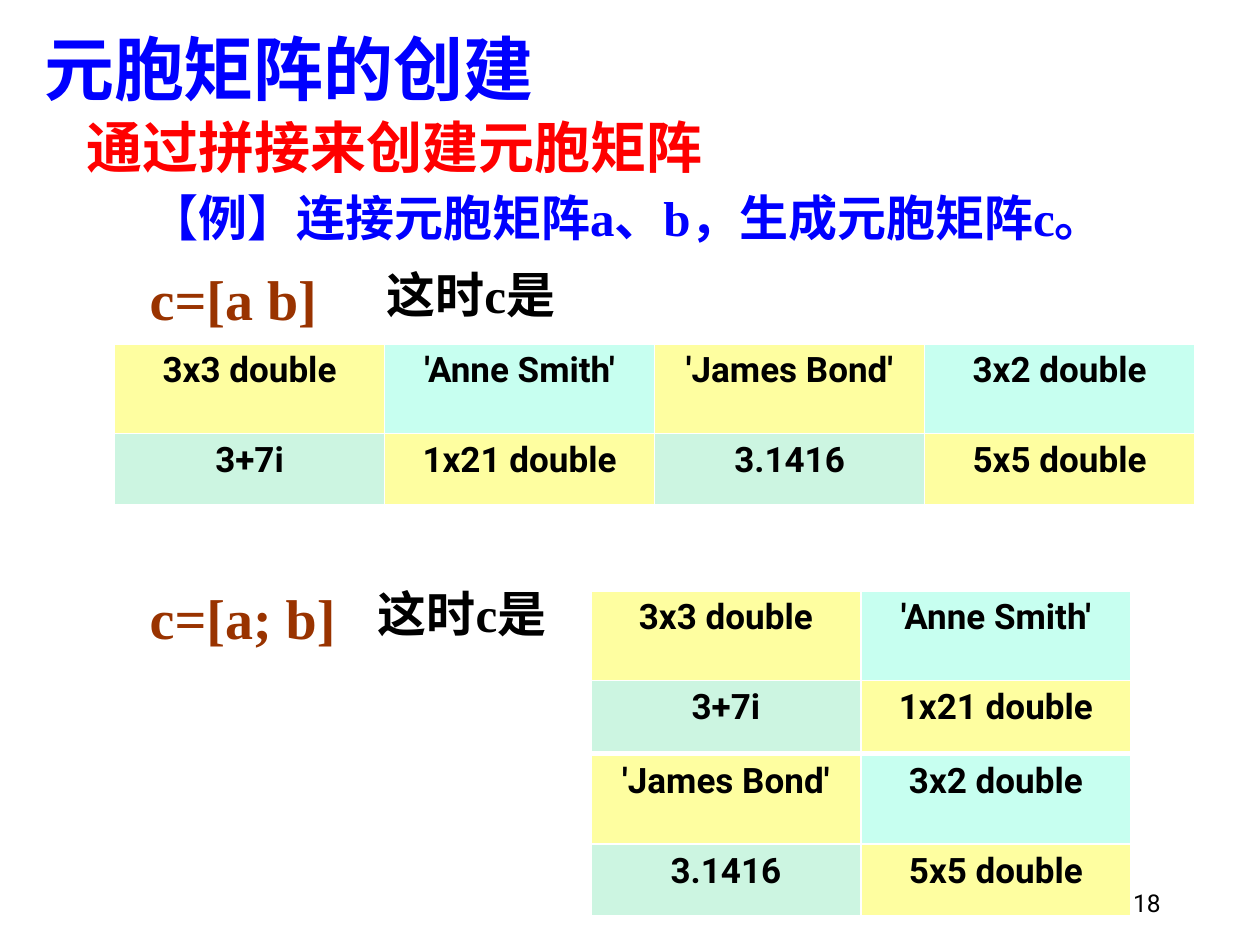
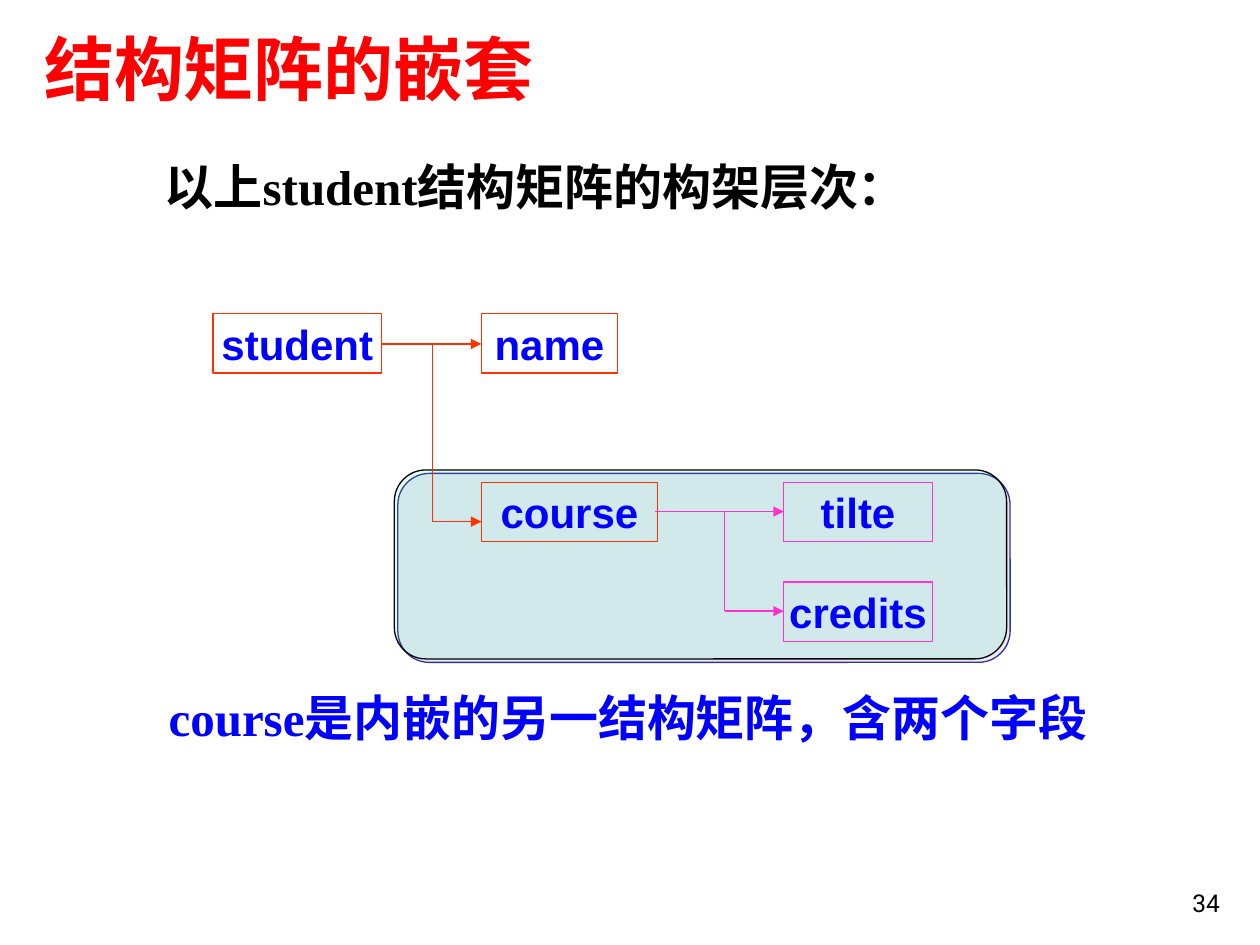
from lxml import etree
from pptx import Presentation
from pptx.dml.color import RGBColor
from pptx.enum.shapes import MSO_CONNECTOR, MSO_SHAPE
from pptx.enum.text import MSO_ANCHOR, MSO_AUTO_SIZE, PP_ALIGN
from pptx.oxml.ns import qn
from pptx.util import Inches, Pt

LEFT, CENTER, RIGHT = PP_ALIGN.LEFT, PP_ALIGN.CENTER, PP_ALIGN.RIGHT
TOP, MIDDLE, BOTTOM = MSO_ANCHOR.TOP, MSO_ANCHOR.MIDDLE, MSO_ANCHOR.BOTTOM
NO_FIT = MSO_AUTO_SIZE.NONE
RECTANGLE, ROUNDED = MSO_SHAPE.RECTANGLE, MSO_SHAPE.ROUNDED_RECTANGLE
STRAIGHT = MSO_CONNECTOR.STRAIGHT

# Shared colours and fonts
BLUE, RED, BROWN, BLACK = "0000FF", "FF0000", "993300", "000000"
ORANGE, PINK = "FF3300", "FF33CC"
YELLOW, AQUA, MINT = "FEFEA0", "C7FFF0", "CCF5E1"
SERIF, SANS, NUMBER_FONT = "Times New Roman", "Arial", "Roboto"


def color(value):
    return RGBColor.from_string(value)


def write(frame, text, size, ink, font, bold=True, align=LEFT, **frame_format):
    """Fill a text frame with one formatted paragraph."""
    for name, value in frame_format.items():
        setattr(frame, name, value)
    paragraph = frame.paragraphs[0]
    paragraph.alignment = align
    run = paragraph.add_run()
    run.text = text
    for name, value in {"size": Pt(size), "name": font, "bold": bold}.items():
        setattr(run.font, name, value)
    run.font.color.rgb = color(ink)
    return paragraph


presentation = Presentation()
presentation.slide_width, presentation.slide_height = Inches(10), Inches(7.5)
title_only = presentation.slide_layouts[5]

# Titles and page numbers
slides = []
for title, ink, number, number_left in [
    ("元胞矩阵的创建", BLUE, "18", 7.23),
    ("结构矩阵的嵌套", RED, "34", 7.7),
]:
    slide = presentation.slides.add_slide(title_only)
    slides.append(slide)
    shape = slide.shapes.title
    place = {"left": 0.25, "top": 0, "width": 9.55, "height": 0.92}
    for name, value in place.items():
        setattr(shape, name, Inches(value))
    write(shape.text_frame, title, 40, ink, SANS,
          vertical_anchor=BOTTOM, auto_size=NO_FIT)
    shape = slide.shapes.add_textbox(
        Inches(number_left), Inches(6.83), Inches(2.08), Inches(0.5))
    write(shape.text_frame, number, 14, BLACK, NUMBER_FONT, bold=False,
          align=RIGHT, vertical_anchor=BOTTOM, word_wrap=True)
matrix_slide, nesting_slide = slides

# Text lines: slide, left, top, width, text, size, colour, line spacing
for slide, left, top, width, text, size, ink, spacing in [
    (matrix_slide, 0.59, 0.84, 9.2, "通过拼接来创建元胞矩阵", 32, RED, 1),
    (matrix_slide, 1.09, 1.44, 8.7, "【例】连接元胞矩阵a、b，生成元胞矩阵c。", 28, BLUE, 1),
    (matrix_slide, 1.09, 2.05, 1.8, "c=[a b]", 32, BROWN, 1),
    (matrix_slide, 2.97, 2.05, 1.8, "这时c是", 28, BLACK, 1),
    (matrix_slide, 1.09, 4.58, 1.8, "c=[a; b]", 32, BROWN, 1),
    (matrix_slide, 2.9, 4.58, 1.8, "这时c是", 28, BLACK, 1),
    (nesting_slide, 1.21, 1.19, 8, "以上student结构矩阵的构架层次：", 28, BLACK, 1),
    (nesting_slide, 1.24, 5.46, 7.99, "course是内嵌的另一结构矩阵，含两个字段", 28, BLUE, 0.9),
]:
    shape = slide.shapes.add_textbox(
        Inches(left), Inches(top), Inches(width), Inches(0.6))
    paragraph = write(shape.text_frame, text, size, ink, SERIF,
                      vertical_anchor=TOP, word_wrap=True)
    paragraph.line_spacing = spacing

# Cell matrices a and b, side by side and then stacked
matrix_a = [["3x3 double", "'Anne Smith'"], ["3+7i", "1x21 double"]]
matrix_b = [["'James Bond'", "3x2 double"], ["3.1416", "5x5 double"]]
joined = [row_a + row_b for row_a, row_b in zip(matrix_a, matrix_b)]
cell_fills = [[YELLOW, AQUA], [MINT, YELLOW]]
column_width, row_heights = 2.143, [0.71, 0.57]
for left, top, matrix in [
    (0.91, 2.73, joined), (4.69, 4.69, matrix_a), (4.69, 5.99, matrix_b),
]:
    columns = len(matrix[0])
    table = matrix_slide.shapes.add_table(
        len(matrix), columns, Inches(left), Inches(top),
        Inches(column_width * columns), Inches(sum(row_heights))).table
    for row, values in enumerate(matrix):
        table.rows[row].height = Inches(row_heights[row])
        for column, value in enumerate(values):
            cell = table.cell(row, column)
            cell.fill.solid()
            cell.fill.fore_color.rgb = color(cell_fills[row][column % 2])
            write(cell.text_frame, value, 20, BLACK, NUMBER_FONT, align=CENTER)

# Translucent panel with a hard shadow behind the nested structure
panel = nesting_slide.shapes.add_shape(
    ROUNDED, Inches(3.13), Inches(3.73), Inches(4.86), Inches(1.5))
panel.shadow.inherit = False
panel.fill.solid()
panel.fill.fore_color.rgb = color("00E4A8")
panel.line.color.rgb = color(BLACK)
panel.line.width = Pt(0.75)
properties = panel.element.spPr
fill_color = properties.find(qn("a:solidFill")).find(qn("a:srgbClr"))
etree.SubElement(fill_color, qn("a:alpha"), val="10000")
shadow = etree.SubElement(
    properties.find(qn("a:effectLst")), qn("a:outerShdw"),
    dist=str(Pt(2.8)), dir="2700000", algn="ctr", rotWithShape="0")
etree.SubElement(shadow, qn("a:srgbClr"), val="333399")

# Field boxes
for text, left, top, width, ink in [
    ("student", 1.69, 2.49, 1.34, ORANGE),
    ("name", 3.82, 2.49, 1.08, ORANGE),
    ("course", 3.82, 3.83, 1.4, ORANGE),
    ("tilte", 6.22, 3.83, 1.18, PINK),
    ("credits", 6.22, 4.62, 1.18, PINK),
]:
    box = nesting_slide.shapes.add_shape(
        RECTANGLE, Inches(left), Inches(top), Inches(width), Inches(0.47))
    box.shadow.inherit = False
    box.fill.background()
    box.line.color.rgb = color(ink)
    box.line.width = Pt(0.75)
    write(box.text_frame, text, 24, BLUE, SANS, align=CENTER,
          vertical_anchor=MIDDLE, word_wrap=False)

# Branches: one arrow to the first field, a stem and an arrow to the second
for start, stem, end, upper, lower, ink in [
    (3.03, 3.43, 3.82, 2.73, 4.14, ORANGE),
    (5.2, 5.75, 6.22, 4.06, 4.85, PINK),
]:
    for x1, y1, x2, y2, has_arrow in [
        (start, upper, end, upper, True),
        (stem, upper, stem, lower, False),
        (stem, lower, end, lower, True),
    ]:
        branch = nesting_slide.shapes.add_connector(
            STRAIGHT, Inches(x1), Inches(y1), Inches(x2), Inches(y2))
        branch.line.color.rgb = color(ink)
        branch.line.width = Pt(0.75)
        properties = branch.element.spPr
        if has_arrow:
            etree.SubElement(properties.find(qn("a:ln")), qn("a:tailEnd"),
                             type="triangle")
        etree.SubElement(properties, qn("a:effectLst"))

presentation.save("out.pptx")
